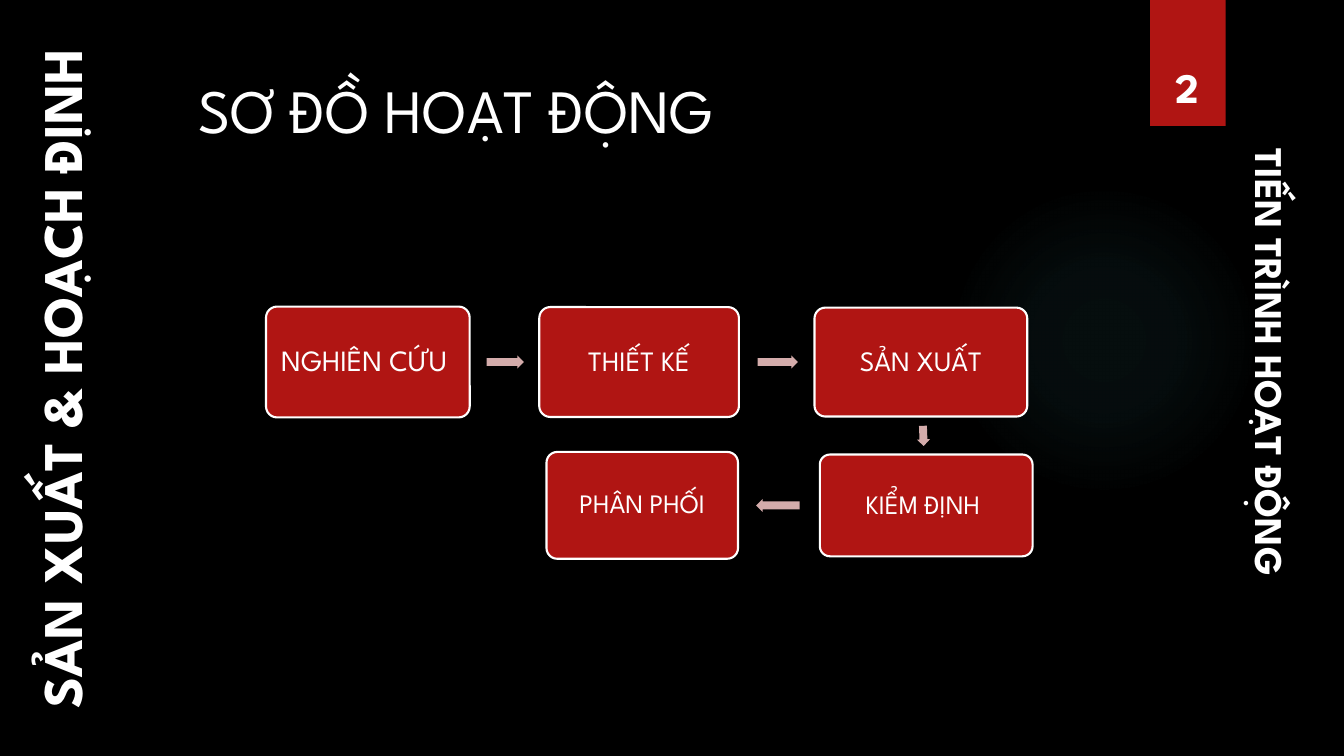
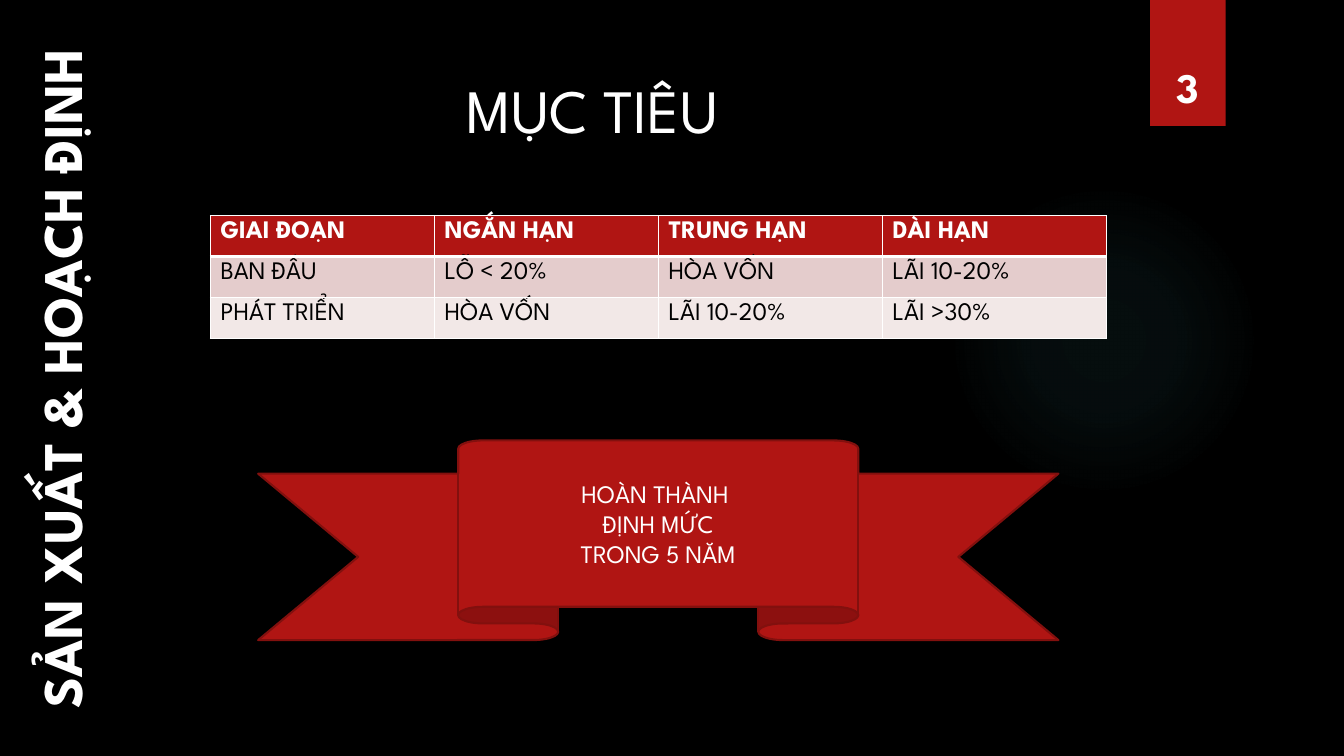
from dataclasses import dataclass

from lxml.etree import SubElement
from pptx import Presentation
from pptx.dml.color import RGBColor
from pptx.enum.shapes import MSO_SHAPE
from pptx.enum.text import MSO_ANCHOR, MSO_AUTO_SIZE, PP_ALIGN
from pptx.oxml import parse_xml
from pptx.oxml.ns import nsdecls, qn
from pptx.util import Pt


@dataclass(frozen=True)
class Theme:
    font: str = "League Spartan"
    background: str = "000000"
    light: str = "FFFFFF"
    dark: str = "000000"
    accent: str = "B01513"
    accent_edge: str = "82100E"
    arrow: str = "D4ACAB"
    glow: str = "50B9C1"
    row_bands: tuple = ("E4CCCC", "F2E8E7")
    title_size: float = 44
    section_size: float = 40
    number_size: float = 30
    subsection_size: float = 28
    body_size: float = 18


THEME = Theme()
SECTION = "SẢN XUẤT & HOẠCH ĐỊNH"


def rgb(value):
    return RGBColor.from_string(value)


class Deck:
    """Holds the theme, the presentation and the slide being filled."""

    def __init__(self, theme):
        self.theme = theme
        self.presentation = Presentation()
        self.presentation.slide_width = Pt(960)
        self.presentation.slide_height = Pt(540)
        self.slide = None

    def start_slide(self, number, title, title_align):
        """Add a slide with the glow, number tag, title and section label."""
        blank = self.presentation.slide_layouts[6]
        self.slide = self.presentation.slides.add_slide(blank)
        backdrop = self.slide.background.fill
        backdrop.solid()
        backdrop.fore_color.rgb = rgb(self.theme.background)
        self.glow(677.5, 131.8, 221.8)
        self.shape(MSO_SHAPE.RECTANGLE, (821.5, 0, 54, 90), self.theme.accent)
        self.label(title, (134.6, 47.5, 577.4, 60.5), self.theme.title_size,
                   align=title_align)
        self.side_label(SECTION, (-207.4, 242.6, 501.1, 55.4),
                        self.theme.section_size, 270)
        self.label(str(number), (815, 23, 66.2, 60.5), self.theme.number_size,
                   bold=True, anchor=MSO_ANCHOR.BOTTOM, grow=False)

    def shape(self, preset, box, fill, edge=None):
        shape = self.slide.shapes.add_shape(preset, *map(Pt, box))
        shape.shadow.inherit = False
        shape.fill.solid()
        shape.fill.fore_color.rgb = rgb(fill)
        if edge:
            shape.line.color.rgb = rgb(edge)
            shape.line.width = Pt(1.5)
        else:
            shape.line.fill.background()
        return shape

    def glow(self, left, top, diameter):
        """Draw a faint circle that fades out from its centre."""
        circle = self.shape(MSO_SHAPE.OVAL, (left, top, diameter, diameter),
                            self.theme.glow)
        stops = "".join(
            f'<a:gs pos="{place * 1000}"><a:srgbClr val="{self.theme.glow}">'
            f'<a:alpha val="{alpha * 1000}"/></a:srgbClr></a:gs>'
            for place, alpha in ((0, 7), (36, 6), (69, 0)))
        gradient = parse_xml(
            f'<a:gradFill {nsdecls("a")}><a:gsLst>{stops}</a:gsLst>'
            '<a:path path="circle"><a:fillToRect l="50000" t="50000" '
            'r="50000" b="50000"/></a:path></a:gradFill>')
        properties = circle.element.spPr
        properties.replace(properties.find(qn("a:solidFill")), gradient)

    def set_text(self, frame, lines, size, color=None, bold=False,
                 align=PP_ALIGN.CENTER, spacing=None):
        for index, line in enumerate(lines):
            paragraph = frame.add_paragraph() if index else frame.paragraphs[0]
            paragraph.alignment = align
            if spacing:
                paragraph.line_spacing = spacing
            run = paragraph.add_run()
            run.text = line
            run.font.name = self.theme.font
            run.font.size = Pt(size)
            run.font.bold = bold
            run.font.color.rgb = rgb(color or self.theme.light)

    def label(self, text, box, size, bold=False, align=PP_ALIGN.CENTER,
              anchor=MSO_ANCHOR.TOP, wrap=True, grow=True):
        label = self.slide.shapes.add_textbox(*map(Pt, box))
        frame = label.text_frame
        frame.word_wrap = wrap
        if grow:
            frame.auto_size = MSO_AUTO_SIZE.SHAPE_TO_FIT_TEXT
        frame.vertical_anchor = anchor
        self.set_text(frame, [text], size, bold=bold, align=align)
        return label

    def side_label(self, text, box, size, rotation):
        self.label(text, box, size, bold=True, wrap=False).rotation = rotation

    def step(self, text, left, middle, width, height, size):
        """Draw a process step whose vertical centre is at middle."""
        step = self.shape(MSO_SHAPE.ROUNDED_RECTANGLE,
                          (left, middle - height / 2, width, height),
                          self.theme.accent, self.theme.light)
        step.adjustments[0] = 0.1
        frame = step.text_frame
        frame.word_wrap = True
        frame.vertical_anchor = MSO_ANCHOR.MIDDLE
        frame.margin_left = frame.margin_right = Pt(6)
        frame.margin_top = frame.margin_bottom = Pt(6)
        self.set_text(frame, [text], size, spacing=0.9)

    def arrow(self, center, middle, length, rotation=0):
        thickness = 9.4
        arrow = self.shape(
            MSO_SHAPE.RIGHT_ARROW,
            (center - length / 2, middle - thickness / 2, length, thickness),
            self.theme.arrow)
        arrow.adjustments[0] = 0.6
        arrow.rotation = rotation

    def ribbon(self, lines, box):
        ribbon = self.shape(MSO_SHAPE.UP_RIBBON, box, self.theme.accent,
                            self.theme.accent_edge)
        ribbon.text_frame.word_wrap = True
        ribbon.text_frame.vertical_anchor = MSO_ANCHOR.MIDDLE
        self.set_text(ribbon.text_frame, lines, self.theme.body_size)

    def border(self, cell, top, bottom):
        properties = cell._tc.get_or_add_tcPr()
        for side, width in (("L", 1), ("R", 1), ("T", top), ("B", bottom)):
            line = SubElement(properties, qn(f"a:ln{side}"), w=str(Pt(width)))
            fill = SubElement(line, qn("a:solidFill"))
            SubElement(fill, qn("a:srgbClr"), val=self.theme.light)

    def table(self, rows, left, top, column_width, row_height):
        column_count = len(rows[0])
        table = self.slide.shapes.add_table(
            len(rows), column_count, Pt(left), Pt(top),
            Pt(column_width * column_count), Pt(row_height * len(rows))).table
        for column in table.columns:
            column.width = Pt(column_width)
        for index, texts in enumerate(rows):
            header = index == 0
            bands = self.theme.row_bands
            fill = self.theme.accent if header else bands[(index - 1) % len(bands)]
            color = self.theme.light if header else self.theme.dark
            table.rows[index].height = Pt(row_height)
            for cell, text in zip(table.rows[index].cells, texts):
                self.border(cell, 3 if index == 1 else 1, 3 if header else 1)
                cell.fill.solid()
                cell.fill.fore_color.rgb = rgb(fill)
                self.set_text(cell.text_frame, [text], self.theme.body_size,
                              color, bold=header, align=PP_ALIGN.LEFT)


def add_process(deck):
    deck.start_slide(2, "SƠ ĐỒ HOẠT ĐỘNG", PP_ALIGN.LEFT)
    deck.side_label("TIẾN TRÌNH HOẠT ĐỘNG", (744.5, 238.3, 326.2, 41),
                    deck.theme.subsection_size, 90)
    upper, lower = 258.6, 361
    for step in (
            ("NGHIÊN CỨU ", 190, upper, 145.5, 79.2, 21),
            ("THIẾT KẾ", 385.2, upper, 142.6, 78.5, 20),
            ("SẢN XUẤT", 581.8, upper, 152, 77.8, 20),
            ("KIỂM ĐỊNH ", 585.6, lower, 152, 72.7, 19),
            ("PHÂN PHỐI", 390.4, lower, 136.8, 76.3, 19)):
        deck.step(*step)
    for arrow in ((361, upper, 26.6), (555.6, upper, 28.8),
                  (659.5, 311.4, 14.4, 87.8), (555.6, lower, 31, 180)):
        deck.arrow(*arrow)


def add_goals(deck):
    deck.start_slide(3, "MỤC TIÊU", PP_ALIGN.CENTER)
    goals = (
        ("GIAI ĐOẠN", "NGẮN HẠN", "TRUNG HẠN", "DÀI HẠN"),
        ("BAN ĐẦU", "LỖ < 20%", "HÒA VỐN", "LÃI 10-20%"),
        ("PHÁT TRIỂN", "HÒA VỐN", "LÃI 10-20%", "LÃI >30%"))
    deck.table(goals, 150.4, 154, 160, 29.2)
    deck.ribbon(("HOÀN THÀNH ", "ĐỊNH MỨC", "TRONG 5 NĂM"),
                (184.4, 314.6, 571.6, 142.6))


def main():
    deck = Deck(THEME)
    add_process(deck)
    add_goals(deck)
    deck.presentation.save("out.pptx")


if __name__ == "__main__":
    main()
